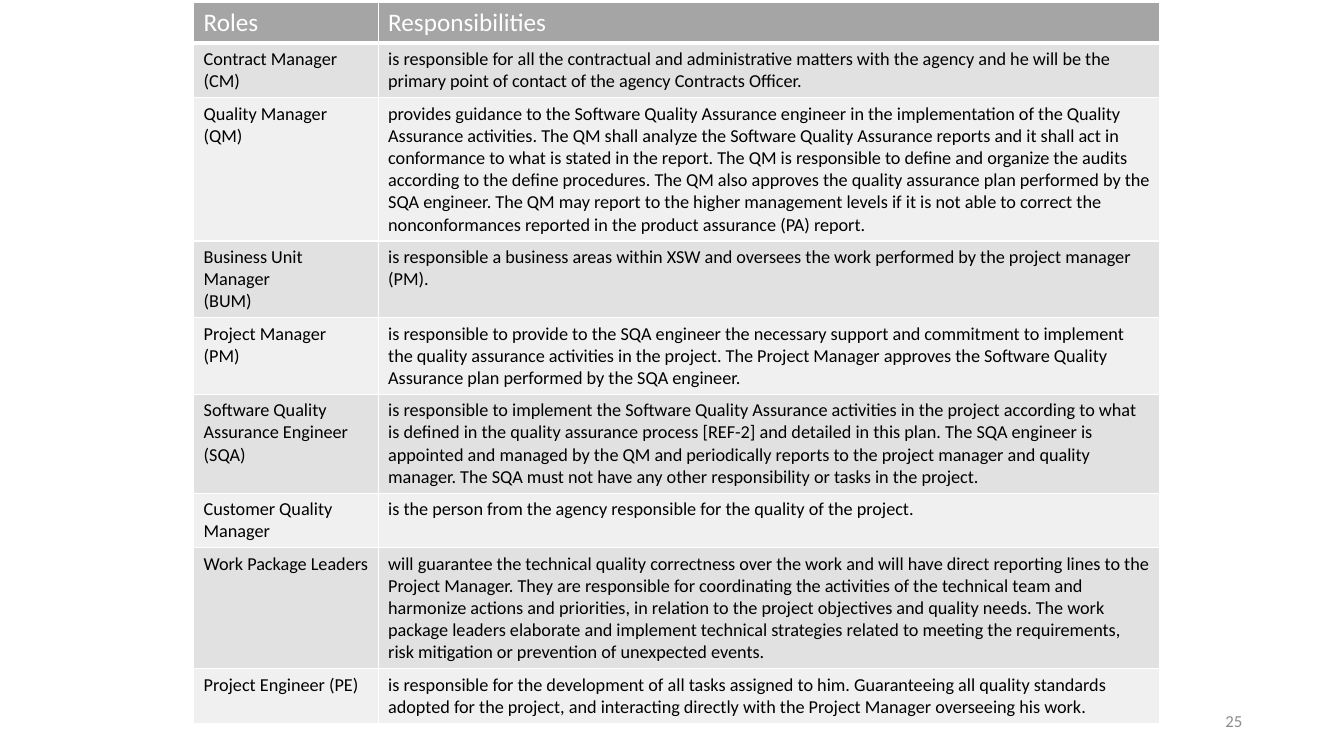
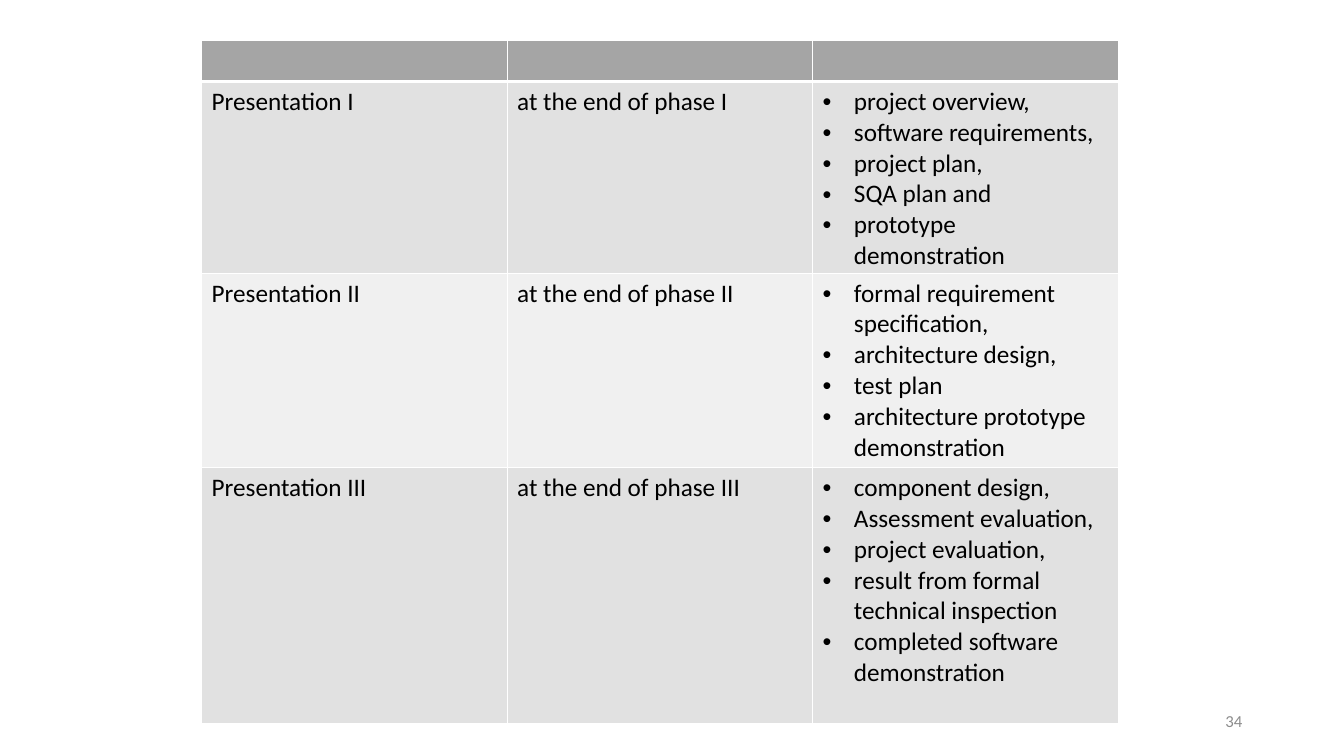
from dataclasses import dataclass

from lxml import etree
from pptx import Presentation
from pptx import util as u
from pptx.dml.color import RGBColor
from pptx.enum import text
from pptx.oxml import ns

ROLES = [
    (["Roles"], ["Responsibilities"]),
    (["Contract Manager", "(CM)"],
     ["is responsible for all the contractual and administrative matters with the agency and he "
      "will be the primary point of contact of the agency Contracts Officer."]),
    (["Quality Manager", "(QM)"],
     ["provides guidance to the Software Quality Assurance engineer in the implementation of the "
      "Quality Assurance activities. The QM shall analyze the Software Quality Assurance reports "
      "and it shall act in conformance to what is stated in the report. The QM is responsible to "
      "define and organize the audits according to the define procedures. The QM also approves "
      "the quality assurance plan performed by the SQA engineer. The QM may report to the higher "
      "management levels if it is not able to correct the nonconformances reported in the "
      "product assurance (PA) report."]),
    (["Business Unit Manager", "(BUM)"],
     ["is responsible a business areas within XSW and oversees the work performed by the project "
      "manager (PM)."]),
    (["Project Manager", "(PM)"],
     ["is responsible to provide to the SQA engineer the necessary support and commitment to "
      "implement the quality assurance activities in the project. The Project Manager approves "
      "the Software Quality Assurance plan performed by the SQA engineer."]),
    (["Software Quality", "Assurance Engineer", "(SQA)"],
     ["is responsible to implement the Software Quality Assurance activities in the project "
      "according to what is defined in the quality assurance process [REF-2] and detailed in "
      "this plan. The SQA engineer is appointed and managed by the QM and periodically reports "
      "to the project manager and quality manager. The SQA must not have any other "
      "responsibility or tasks in the project."]),
    (["Customer Quality", "Manager"],
     ["is the person from the agency responsible for the quality of the project."]),
    (["Work Package Leaders"],
     ["will guarantee the technical quality correctness over the work and will have direct "
      "reporting lines to the Project Manager. They are responsible for coordinating the "
      "activities of the technical team and harmonize actions and priorities, in relation to "
      "the project objectives and quality needs. The work package leaders elaborate and "
      "implement technical strategies related to meeting the requirements, risk mitigation or "
      "prevention of unexpected events."]),
    (["Project Engineer (PE)"],
     ["is responsible for the development of all tasks assigned to him. Guaranteeing all quality "
      "standards adopted for the project, and interacting directly with the Project Manager "
      "overseeing his work."]),
]

PRESENTATIONS = [
    ([], [], []),
    (["Presentation I"], ["at the end of phase I"],
     ["project overview,", "software requirements,", "project plan,", "SQA plan and",
      "prototype demonstration"]),
    (["Presentation II"], ["at the end of phase II"],
     ["formal requirement specification,", "architecture design,", "test plan",
      "architecture prototype demonstration"]),
    (["Presentation III"], ["at the end of phase III"],
     ["component design,", "Assessment evaluation,", "project evaluation,",
      "result from formal technical inspection", "completed software demonstration"]),
]

SLIDES = [
    dict(page="25", rows=ROLES, left=1.92, top=0.02, widths=[1.83, 7.75],
         heights=[0.41, 0.53, 1.4, 0.75, 0.75, 0.97, 0.53, 1.18, 0.53],
         body_size=13, bullet_column=None),
    dict(page="34", rows=PRESENTATIONS, left=2, top=0.4, widths=[3.03] * 3,
         heights=[0.41, 1.9, 1.93, 2.54], body_size=18, bullet_column=2),
]


@dataclass(frozen=True)
class Theme:
    font: str = "Calibri"
    header_fill: str = "A5A5A5"
    bands: tuple = ("F0F0F0", "E1E1E1")
    header_text: str = "FFFFFF"
    body_text: str = "000000"
    page_text: str = "8C8C8C"
    rule: str = "FFFFFF"
    rule_width: int = 1
    header_rule_width: int = 3
    header_size: int = 18
    page_size: int = 12
    bullet_indent: float = 0.31


THEME = Theme()


def add_text(paragraph, words, size, color):
    run = paragraph.add_run()
    run.text = words
    run.font.name = THEME.font
    run.font.size = u.Pt(size)
    run.font.bold = False
    run.font.color.rgb = RGBColor.from_string(color)


def add_bullet(paragraph):
    indent = u.Inches(THEME.bullet_indent)
    properties = paragraph._p.get_or_add_pPr()
    properties.set("marL", str(indent))
    properties.set("indent", str(-indent))
    etree.SubElement(properties, ns.qn("a:buFont"), typeface="Arial")
    etree.SubElement(properties, ns.qn("a:buChar"), char="•")


def add_borders(cell, bottom_width):
    properties = cell._tc.get_or_add_tcPr()
    for side in "LRTB":
        width = bottom_width if side == "B" else THEME.rule_width
        line = etree.SubElement(properties, ns.qn(f"a:ln{side}"), w=str(u.Pt(width)))
        fill = etree.SubElement(line, ns.qn("a:solidFill"))
        etree.SubElement(fill, ns.qn("a:srgbClr"), val=THEME.rule)


def fill_cell(cell, lines, is_header, fill, size, bulleted):
    add_borders(cell, THEME.header_rule_width if is_header else THEME.rule_width)
    cell.fill.solid()
    cell.fill.fore_color.rgb = RGBColor.from_string(fill)
    color = THEME.header_text if is_header else THEME.body_text
    frame = cell.text_frame
    for index, words in enumerate(lines):
        paragraph = frame.add_paragraph() if index else frame.paragraphs[0]
        if bulleted:
            add_bullet(paragraph)
        add_text(paragraph, words, size, color)


def add_grid(slide, content):
    rows, widths, heights = content["rows"], content["widths"], content["heights"]
    grid = slide.shapes.add_table(
        len(rows), len(widths), u.Inches(content["left"]), u.Inches(content["top"]),
        u.Inches(sum(widths)), u.Inches(sum(heights))).table
    grid.horz_banding = False
    for column, width in zip(grid.columns, widths):
        column.width = u.Inches(width)
    for r, (row, height) in enumerate(zip(rows, heights)):
        grid.rows[r].height = u.Inches(height)
        is_header = r == 0
        fill = THEME.header_fill if is_header else THEME.bands[r % 2]
        size = THEME.header_size if is_header else content["body_size"]
        for c, lines in enumerate(row):
            fill_cell(grid.cell(r, c), lines, is_header, fill, size,
                      c == content["bullet_column"])


def add_page_number(slide, number):
    frame = slide.shapes.add_textbox(
        u.Inches(9.42), u.Inches(6.95), u.Inches(3), u.Inches(0.4)).text_frame
    frame.word_wrap = True
    frame.vertical_anchor = text.MSO_ANCHOR.MIDDLE
    paragraph = frame.paragraphs[0]
    paragraph.alignment = text.PP_ALIGN.RIGHT
    add_text(paragraph, number, THEME.page_size, THEME.page_text)


def main():
    deck = Presentation()
    deck.slide_width, deck.slide_height = u.Inches(13.33), u.Inches(7.5)
    for content in SLIDES:
        slide = deck.slides.add_slide(deck.slide_layouts[6])
        add_grid(slide, content)
        add_page_number(slide, content["page"])
    deck.save("out.pptx")


if __name__ == "__main__":
    main()
